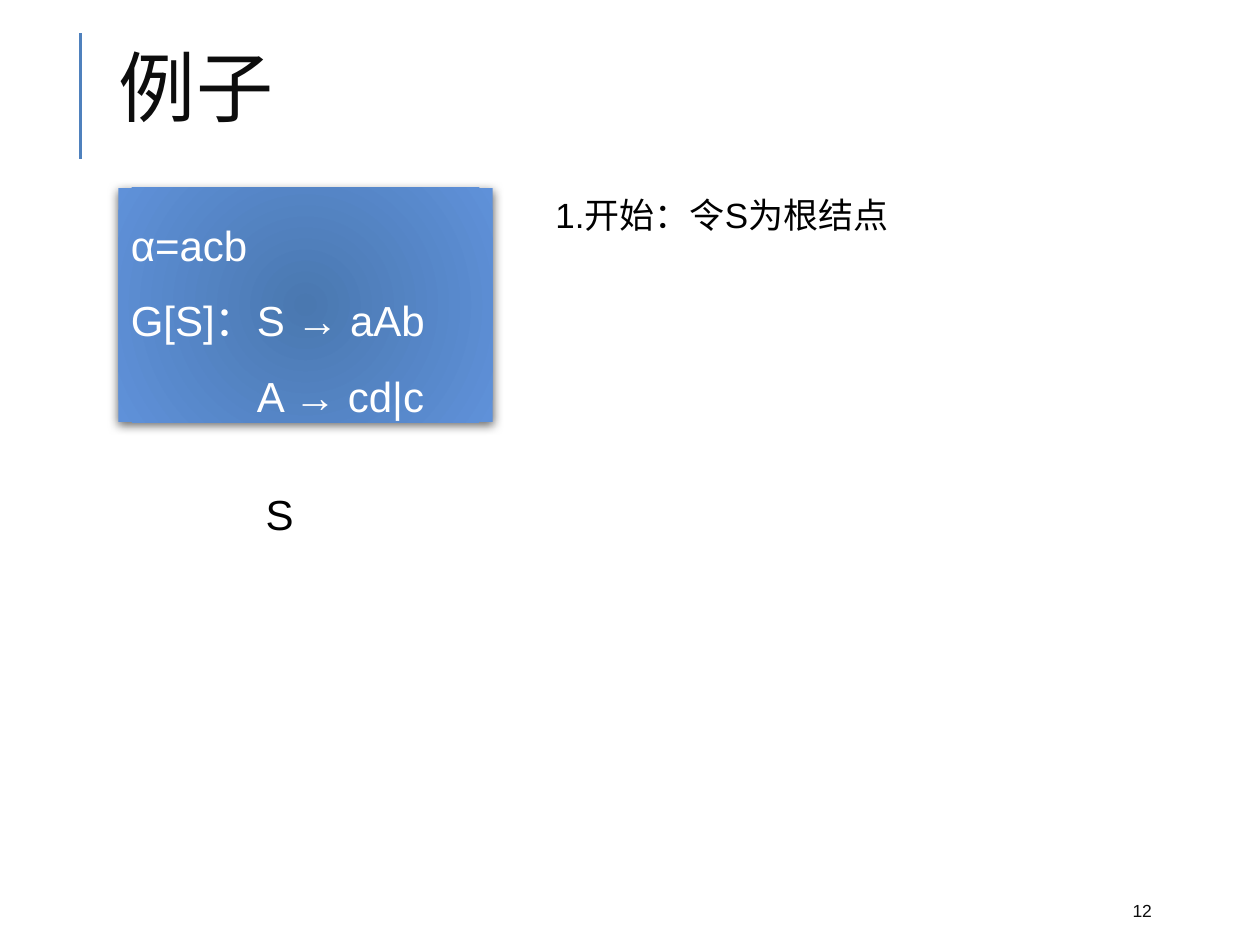
import pptx
import pptx.util
import pptx.dml.color
import pptx.enum.shapes
import pptx.enum.text
import pptx.oxml
import pptx.oxml.ns

Inches, Pt = pptx.util.Inches, pptx.util.Pt
RGBColor = pptx.dml.color.RGBColor
ALIGN = pptx.enum.text.PP_ALIGN
ANCHOR = pptx.enum.text.MSO_ANCHOR

BLACK = RGBColor(0x00, 0x00, 0x00)
WHITE = RGBColor(0xFF, 0xFF, 0xFF)
INK = RGBColor(0x0D, 0x0D, 0x0D)
ACCENT = RGBColor(0x4F, 0x81, 0xBD)
INNER = RGBColor(0x4A, 0x78, 0xB0)
OUTER = RGBColor(0x5F, 0x91, 0xD9)

FONT = "Arial"
TITLE = ["例子"]
GRAMMAR = ["α=acb", "G[S]：S → aAb", "A → cd|c"]
STEPS = ["1.开始：令S为根结点"]
ROOT = ["S"]
PAGE_NUMBER = ["12"]

RULE_X, RULE_TOP, RULE_HEIGHT = 0.64, 0.26, 1
BODY_TOP = 1.49
RULE_INDENT = 1

deck = pptx.Presentation()
deck.slide_width, deck.slide_height = Inches(10), Inches(7.5)
page = deck.slides.add_slide(deck.slide_layouts[6])


def add_text(lines, area, fill=None, size=24, color=BLACK, align=ALIGN.LEFT,
             anchor=ANCHOR.TOP, line_spacing=None, tracking=None, wrap=True):
    position = [Inches(length) for length in area]
    if fill is None:
        box = page.shapes.add_textbox(*position)
    else:
        box = page.shapes.add_shape(pptx.enum.shapes.MSO_SHAPE.RECTANGLE, *position)
        box.shadow.inherit = False
        box.line.fill.background()
        box.fill.solid()
        box.fill.fore_color.rgb = fill
    frame = box.text_frame
    frame.word_wrap = wrap
    frame.vertical_anchor = anchor
    for index, line in enumerate(lines):
        para = frame.add_paragraph() if index else frame.paragraphs[0]
        para.alignment = align
        if line_spacing:
            para.line_spacing = line_spacing
        span = para.add_run()
        span.text = line
        span.font.name, span.font.size = FONT, Pt(size)
        span.font.color.rgb = color
        if tracking:
            span.font._element.set("spc", str(tracking * 100))
    return box


def add_glow(box):
    box.fill.gradient()
    for stop, color, place in zip(box.fill.gradient_stops, (INNER, OUTER), (0, 1)):
        stop.color.rgb, stop.position = color, place
    properties = box._element.spPr
    gradient = properties.find(pptx.oxml.ns.qn("a:gradFill"))
    namespace = pptx.oxml.ns.nsdecls("a")
    circle = pptx.oxml.parse_xml(
        f'<a:path {namespace} path="circle"><a:fillToRect l="100000" t="100000" '
        'r="100000" b="100000"/></a:path>')
    gradient.replace(gradient.find(pptx.oxml.ns.qn("a:lin")), circle)
    shadow = pptx.oxml.parse_xml(
        f'<a:outerShdw {namespace} blurRad="{Pt(6)}" dist="{Pt(2)}" dir="5400000" '
        f'rotWithShape="0"><a:srgbClr val="{BLACK}"><a:alpha val="60000"/>'
        '</a:srgbClr></a:outerShdw>')
    properties.find(pptx.oxml.ns.qn("a:effectLst")).append(shadow)


rule = page.shapes.add_connector(
    pptx.enum.shapes.MSO_CONNECTOR.STRAIGHT, Inches(RULE_X),
    Inches(RULE_TOP + RULE_HEIGHT), Inches(RULE_X), Inches(RULE_TOP))
rule.line.color.rgb, rule.line.width = ACCENT, Pt(1.5)
rule._element.spPr.append(pptx.oxml.parse_xml(
    f'<a:effectLst {pptx.oxml.ns.nsdecls("a")}/>'))

add_text(PAGE_NUMBER, (8.89, 7.08, 0.8, 0.3), size=10, color=INK, anchor=ANCHOR.MIDDLE)
add_text(TITLE, (0.84, RULE_TOP, 8.5, 0.98), size=44, color=INK,
         anchor=ANCHOR.MIDDLE, line_spacing=0.8, tracking=1)
grammar = add_text(GRAMMAR, (0.94, BODY_TOP, 2.97, 1.86), fill=OUTER, color=WHITE,
                   align=ALIGN.JUSTIFY, line_spacing=1.5)
add_glow(grammar)
grammar.text_frame.paragraphs[-1]._p.get_or_add_pPr().set("marL", str(Inches(RULE_INDENT)))
add_text(STEPS, (4.31, BODY_TOP, 5.38, 5.67), fill=WHITE, size=20)
root = add_text(ROOT, (2.01, 3.83, 0.35, 0.5), align=ALIGN.CENTER, wrap=False)
root.text_frame.auto_size = pptx.enum.text.MSO_AUTO_SIZE.SHAPE_TO_FIT_TEXT

deck.save("out.pptx")
